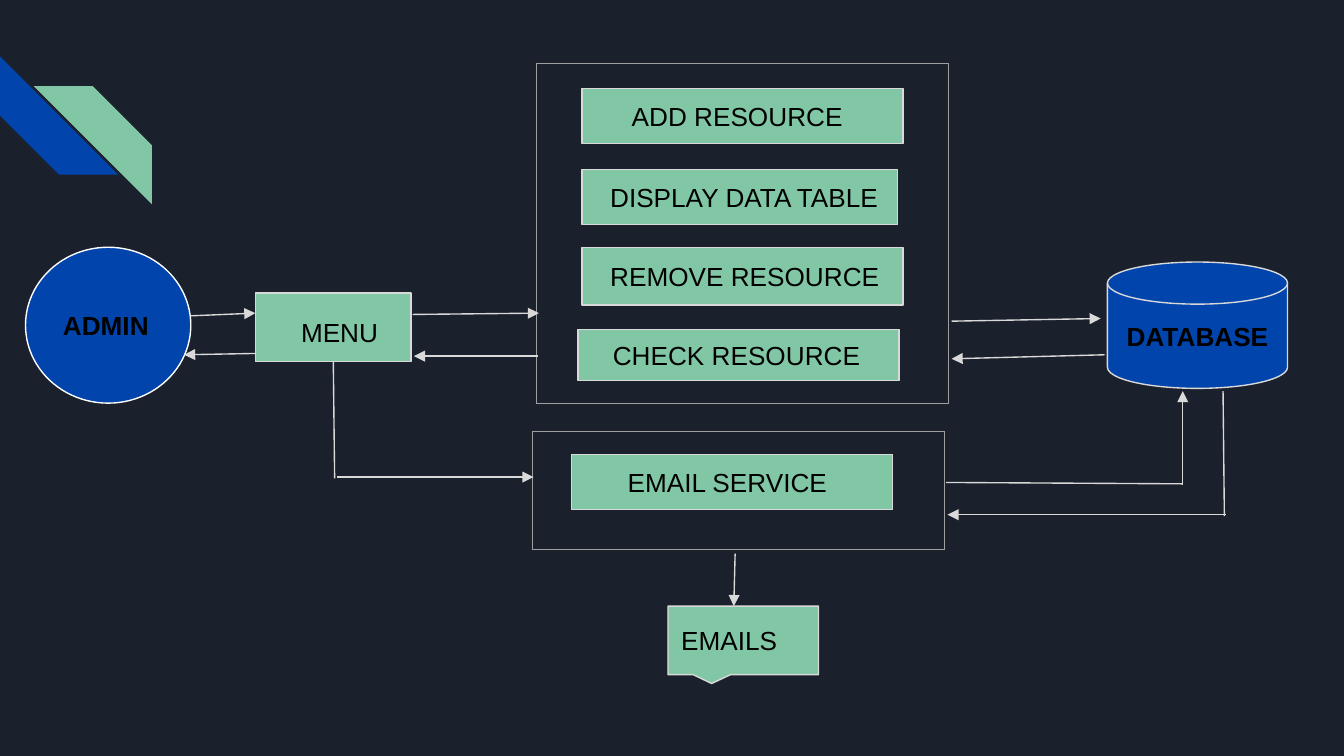
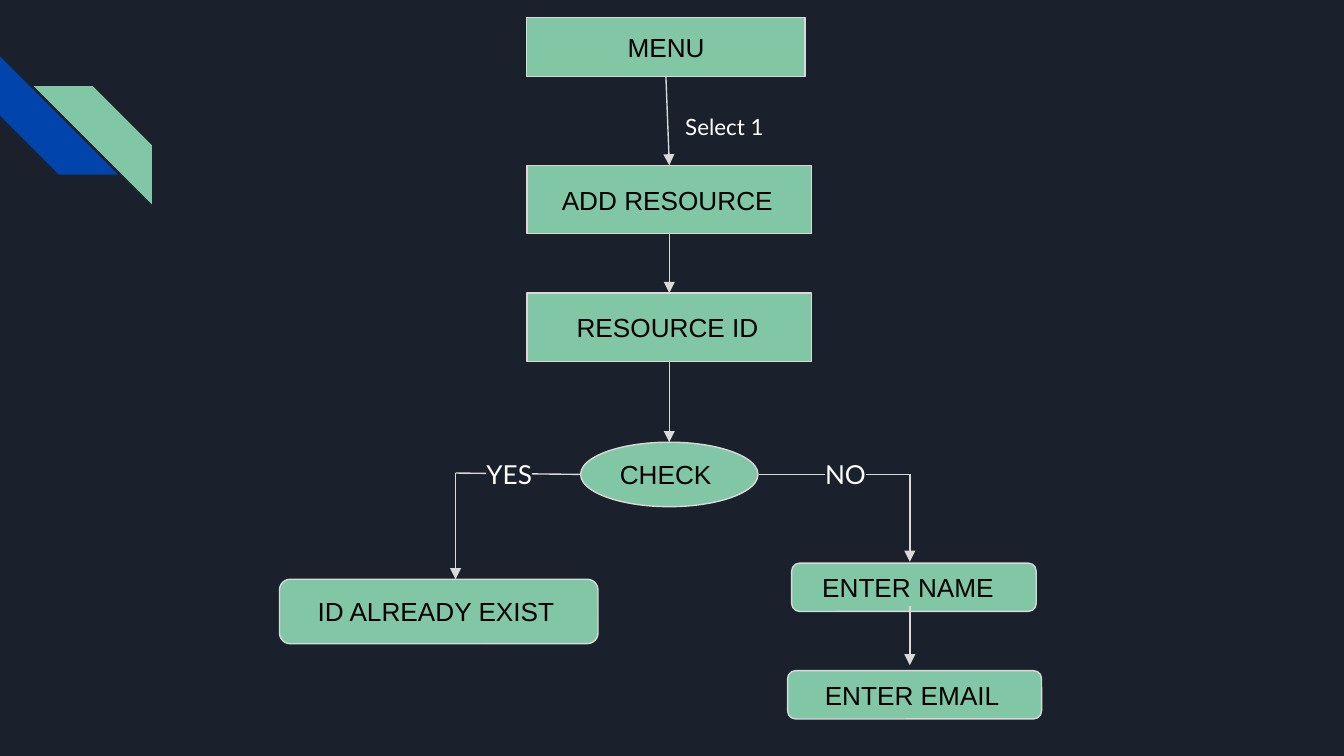
from dataclasses import dataclass
from typing import Optional

from lxml import etree
from pptx import Presentation
from pptx import util as u
from pptx.dml.color import RGBColor
from pptx.enum import shapes, text
from pptx.oxml.ns import qn

EMU_PER_PX = 9144  # 100 px to the inch
NAVY, BLUE, GREEN = "1B212C", "0145AC", "82C7A5"
WHITE, BLACK, PALE, GREY = "FFFFFF", "000000", "D9D9D9", "9E9E9E"
LINE_WIDTH = u.Pt(0.75)
INSET = 10
TOP, BOTTOM = 0, 2  # connection sites

KIND = shapes.MSO_SHAPE
LEFT, CENTER = text.PP_ALIGN.LEFT, text.PP_ALIGN.CENTER
MIDDLE, LOW = text.MSO_ANCHOR.MIDDLE, text.MSO_ANCHOR.BOTTOM


@dataclass
class Node:
    label: str
    x: int
    y: int
    w: int
    h: int
    indent: int = INSET
    kind: int = KIND.RECTANGLE
    fill: str = GREEN
    line: str = PALE
    bold: bool = False
    align: int = LEFT
    anchor: int = MIDDLE
    adjust: tuple = ()


@dataclass
class Link:
    x1: int
    y1: int
    x2: int
    y2: int
    arrow: bool = True
    start: Optional[str] = None  # node whose bottom the link leaves
    end: Optional[str] = None  # node whose top the link reaches


@dataclass
class Frame:
    x: int
    y: int
    w: int
    h: int


@dataclass
class Label:
    words: str
    x: int
    y: int
    w: int
    h: int
    size: int = 14


def px(n: int) -> u.Emu:
    return u.Emu(n * EMU_PER_PX)


def rgb(value: str) -> RGBColor:
    return RGBColor.from_string(value)


def add_solid(parent, tag: str, color: str):
    """Append a solidFill, or a highlight, holding one colour."""
    el = etree.SubElement(parent, qn(tag))
    etree.SubElement(el, qn("a:srgbClr"), val=color)
    return el


def add_filled(slide, kind: int, x: int, y: int, w: int, h: int, fill: str):
    sp = slide.shapes.add_shape(kind, px(x), px(y), px(w), px(h))
    sp.shadow.inherit = False
    sp.fill.solid()
    sp.fill.fore_color.rgb = rgb(fill)
    return sp


def set_text(tf, words: str, font: str, size: int, color: str, indent: int = INSET):
    tf.word_wrap = True
    tf.margin_left = px(indent)
    tf.margin_top = tf.margin_right = tf.margin_bottom = px(INSET)
    tf.text = words
    r = tf.paragraphs[0].runs[0]
    r.font.name, r.font.size = font, u.Pt(size)
    r.font.color.rgb = rgb(color)
    return r


def add_node(slide, n: Node):
    sp = add_filled(slide, n.kind, n.x, n.y, n.w, n.h, n.fill)
    sp.line.color.rgb = rgb(n.line)
    sp.line.width = LINE_WIDTH
    for i, value in enumerate(n.adjust):
        sp.adjustments[i] = value
    tf = sp.text_frame
    r = set_text(tf, n.label, "Arial", 14, BLACK, n.indent)
    r.font.bold = n.bold
    tf.vertical_anchor = n.anchor
    tf.paragraphs[0].alignment = n.align
    return sp


def add_frame(slide, f: Frame) -> None:
    """Draw an outlined, unfilled one-cell table."""
    gf = slide.shapes.add_table(1, 1, px(f.x), px(f.y), px(f.w), px(f.h))
    gf.table.first_row = gf.table.horz_banding = False
    gf.table.cell(0, 0).fill.background()
    for tc_pr in gf.element.iter(qn("a:tcPr")):
        for i, side in enumerate("LRTB"):
            ln = etree.Element(qn(f"a:ln{side}"), w=str(LINE_WIDTH))
            add_solid(ln, "a:solidFill", GREY)
            tc_pr.insert(i, ln)


def add_link(slide, link: Link, nodes: dict) -> None:
    c = slide.shapes.add_connector(shapes.MSO_CONNECTOR.STRAIGHT,
                                   px(link.x1), px(link.y1), px(link.x2), px(link.y2))
    c.line.color.rgb = rgb(PALE)
    c.line.width = LINE_WIDTH
    if link.arrow:
        etree.SubElement(c.element.spPr.find(qn("a:ln")), qn("a:tailEnd"), type="triangle")
    etree.SubElement(c.element.spPr, qn("a:effectLst"))
    if link.start:
        c.begin_connect(nodes[link.start], BOTTOM)
    if link.end:
        c.end_connect(nodes[link.end], TOP)


def add_label(slide, label: Label) -> None:
    """Add white text whose highlight masks the line behind it."""
    tb = slide.shapes.add_textbox(px(label.x), px(label.y), px(label.w), px(label.h))
    r = set_text(tb.text_frame, label.words, "Lato", label.size, WHITE)
    tb.text_frame.auto_size = text.MSO_AUTO_SIZE.SHAPE_TO_FIT_TEXT
    r_pr = r.font.color and tb.element.find(".//" + qn("a:rPr"))
    highlight = add_solid(r_pr, "a:highlight", NAVY)
    r_pr.find(qn("a:latin")).addprevious(highlight)


def style_layout(prs, layout) -> None:
    """Give the layout its dark background and the two corner stripes."""
    for ph in list(layout.placeholders):
        ph.element.getparent().remove(ph.element)
    layout.background.fill.solid()
    layout.background.fill.fore_color.rgb = rgb(NAVY)
    slide = prs.slides[0]
    for x, y, color in ((0, 42, BLUE), (25, 64, GREEN)):
        sp = add_filled(slide, KIND.DIAGONAL_STRIPE, x, y, 88, 88, color)
        sp.line.fill.background()
        if color == BLUE:
            sp.rotation = 270
        else:
            sp.element.spPr.get_or_add_xfrm().set("flipH", "1")
        layout.shapes.element.append(sp.element)


def draw(slide, nodes: list, links: list, frames: list = (), labels: list = ()) -> None:
    drawn = {n.label: add_node(slide, n) for n in nodes}
    for f in frames:
        add_frame(slide, f)
    for link in links:
        add_link(slide, link, drawn)
    for label in labels:
        add_label(slide, label)


def draw_architecture(slide) -> None:
    nodes = [
        Node("ADMIN", 19, 184, 123, 116, kind=KIND.OVAL, fill=BLUE, line=WHITE, bold=True),
        Node("DATABASE", 824, 195, 134, 94, kind=KIND.FLOWCHART_MAGNETIC_DISK,
             fill=BLUE, bold=True, align=CENTER),
        Node("ADD RESOURCE", 433, 66, 239, 41, 37),
        Node("DISPLAY DATA TABLE", 433, 126, 235, 41, 21),
        Node("REMOVE RESOURCE", 433, 184, 239, 43, 21),
        Node("CHECK RESOURCE", 430, 245, 239, 38, 26),
        Node("MENU", 190, 218, 116, 51, 34, anchor=LOW),
        Node("EMAIL SERVICE", 425, 338, 239, 41, 42),
        Node("EMAILS", 497, 451, 112, 51, kind=KIND.ROUNDED_RECTANGULAR_CALLOUT,
             adjust=(-0.21, 0.63, 0)),
    ]
    frames = [Frame(399, 47, 307, 253), Frame(396, 321, 307, 88)]
    links = [
        Link(142, 235, 190, 233),
        Link(190, 263, 137, 264),
        Link(307, 234, 401, 233),
        Link(400, 265, 308, 265),
        Link(708, 239, 819, 237),
        Link(822, 264, 708, 267),
        Link(248, 269, 249, 356, arrow=False, start="MENU"),
        Link(251, 355, 397, 355),
        Link(704, 359, 880, 360, arrow=False),
        Link(880, 361, 880, 291),
        Link(910, 291, 911, 384, arrow=False),
        Link(912, 383, 705, 383),
        Link(547, 412, 546, 451),
    ]
    draw(slide, nodes, links, frames)


def draw_add_resource_flow(slide) -> None:
    rounded = KIND.ROUNDED_RECTANGLE
    nodes = [
        Node("MENU", 392, 13, 207, 44, 75),
        Node("ADD RESOURCE", 392, 123, 212, 51, 26),
        Node("RESOURCE ID", 392, 218, 212, 51, 37),
        Node("CHECK", 432, 329, 132, 48, kind=KIND.OVAL),
        Node("ID ALREADY EXIST", 208, 431, 237, 48, 26, rounded),
        Node("ENTER NAME", 589, 419, 182, 36, 21, rounded),
        Node("ENTER EMAIL", 586, 499, 189, 36, 26, rounded),
    ]
    links = [
        Link(496, 57, 496, 123, start="MENU", end="ADD RESOURCE"),
        Link(498, 174, 498, 218, start="ADD RESOURCE", end="RESOURCE ID"),
        Link(498, 269, 498, 329, start="RESOURCE ID", end="CHECK"),
        Link(432, 353, 339, 352, arrow=False),
        Link(339, 352, 339, 431),
        Link(565, 353, 677, 353, arrow=False),
        Link(677, 353, 677, 418),
        Link(677, 451, 677, 495),
    ]
    labels = [
        Label("Select 1", 500, 74, 489, 40, 12),
        Label("YES", 352, 331, 212, 44),
        Label("NO", 604, 331, 399, 44),
    ]
    draw(slide, nodes, links, labels=labels)


def main() -> None:
    prs = Presentation()
    prs.slide_width = px(1000)
    prs.slide_height = u.Emu(prs.slide_width * 9 // 16)
    layout = prs.slide_layouts[6]
    architecture, flow = (prs.slides.add_slide(layout) for _ in range(2))
    style_layout(prs, layout)
    draw_architecture(architecture)
    draw_add_resource_flow(flow)
    prs.save("out.pptx")


if __name__ == "__main__":
    main()
